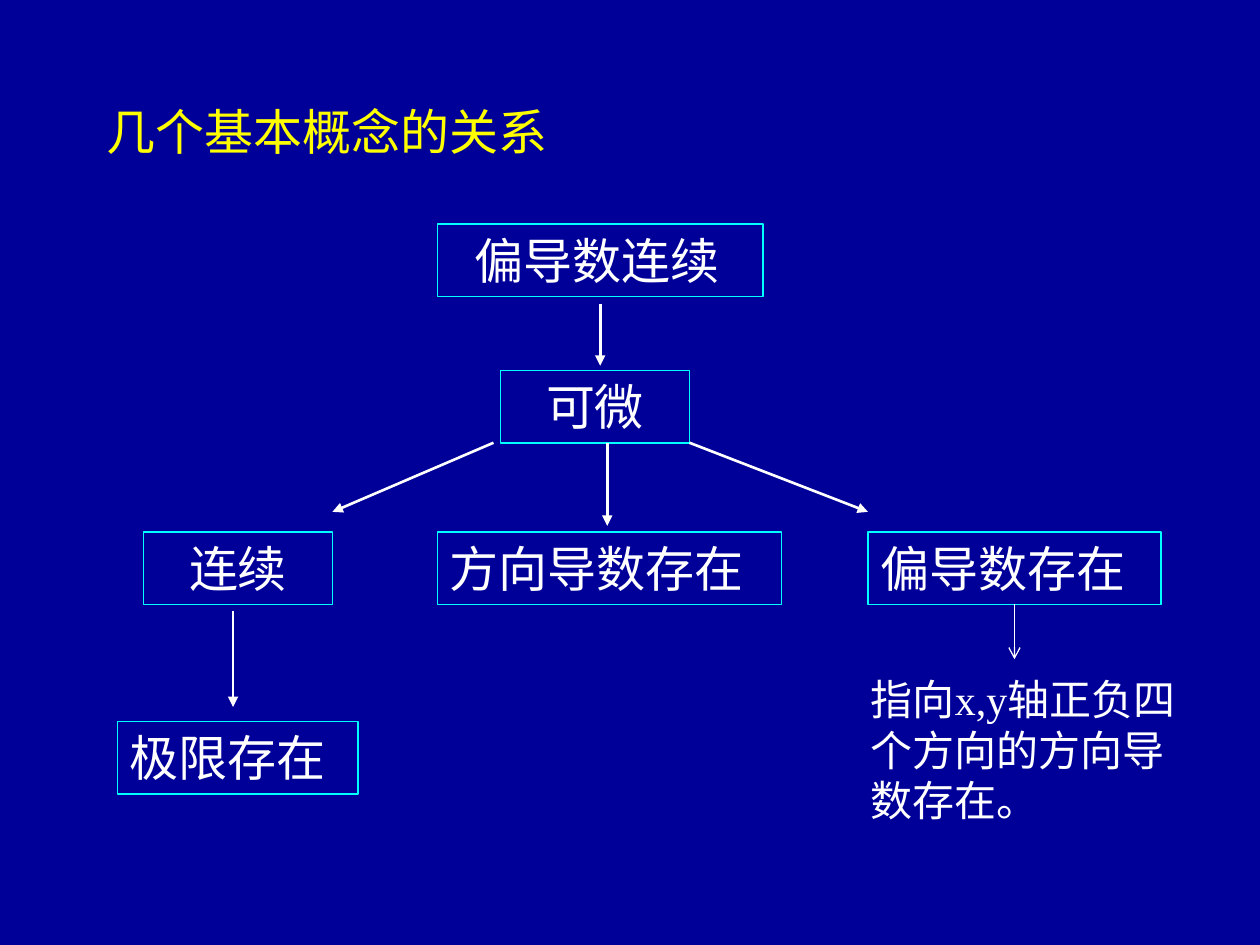
from lxml.etree import SubElement
from pptx import Presentation
from pptx.dml.color import RGBColor
from pptx.enum.shapes import MSO_CONNECTOR, MSO_SHAPE
from pptx.enum.text import MSO_ANCHOR, PP_ALIGN
from pptx.oxml.ns import qn
from pptx.util import Pt

NAVY = RGBColor(0x00, 0x00, 0x99)
CYAN = RGBColor(0x00, 0xFF, 0xFF)
WHITE = RGBColor(0xFF, 0xFF, 0xFF)
YELLOW = RGBColor(0xFF, 0xFF, 0x00)


class ConceptSlide:
    font_name = "Times New Roman"
    inset = 7.2
    box_height = 41.5

    def __init__(self, deck):
        self.slide = deck.slides.add_slide(deck.slide_layouts[6])
        self.slide.background.fill.solid()
        self.slide.background.fill.fore_color.rgb = NAVY

    def set_text(self, frame, text, size, color, align=PP_ALIGN.LEFT, wrap=True):
        frame.text = text
        frame.word_wrap = wrap
        frame.vertical_anchor = MSO_ANCHOR.TOP
        paragraph = frame.paragraphs[0]
        paragraph.alignment = align
        for run in paragraph.runs:
            run.font.name = self.font_name
            run.font.size = Pt(size)
            run.font.color.rgb = color

    def label(self, text, left, top, width, height, size, color=WHITE, wrap=True):
        box = self.slide.shapes.add_textbox(Pt(left), Pt(top), Pt(width), Pt(height))
        self.set_text(box.text_frame, text, size, color, wrap=wrap)

    def concept(self, text, left, top, width, align=PP_ALIGN.LEFT, indent=0):
        box = self.slide.shapes.add_shape(
            MSO_SHAPE.RECTANGLE, Pt(left), Pt(top), Pt(width), Pt(self.box_height))
        box.shadow.inherit = False
        box.fill.background()
        box.line.color.rgb = CYAN
        box.line.width = Pt(0.75)
        box.text_frame.margin_left = Pt(self.inset + indent)
        self.set_text(box.text_frame, text, 28, WHITE, align)

    def arrow(self, start, end, width=1.5, head="triangle"):
        line = self.slide.shapes.add_connector(
            MSO_CONNECTOR.STRAIGHT, *(Pt(value) for value in (*start, *end)))
        line.line.color.rgb = WHITE
        line.line.width = Pt(width)
        properties = line._element.spPr
        SubElement(properties.find(qn("a:ln")), qn("a:tailEnd"), type=head)
        SubElement(properties, qn("a:effectLst"))


def main():
    deck = Presentation()
    deck.slide_width, deck.slide_height = Pt(720), Pt(540)
    page = ConceptSlide(deck)

    page.label("几个基本概念的关系", 54, 54.7, 269, 41, 28, YELLOW, wrap=False)

    page.concept("偏导数连续", 250, 128, 186, indent=14)
    page.concept("可微", 286, 211.7, 108, PP_ALIGN.CENTER)
    result_top = 304
    page.concept("连续", 82, result_top, 108, PP_ALIGN.CENTER)
    page.concept("方向导数存在", 250, result_top, 196.5)
    page.concept("偏导数存在", 496, result_top, 167.5)
    page.concept("极限存在", 67, 412.3, 137.5)

    page.arrow((343, 173.5), (343, 209))
    fork_top = 253
    for start_x, end in ((282, (190, 292.5)), (347, (347, 300.5)), (394, (496, 292.5))):
        page.arrow((start_x, fork_top), end)
    page.arrow((133.2, 349.3), (133.2, 404))
    page.arrow((579.7, 345), (579.7, 376.7), 0.75, "arrow")

    page.label("指向x,y轴正负四个方向的方向导数存在。", 490.5, 381.6, 190, 94.5, 24)

    deck.save("out.pptx")


if __name__ == "__main__":
    main()
